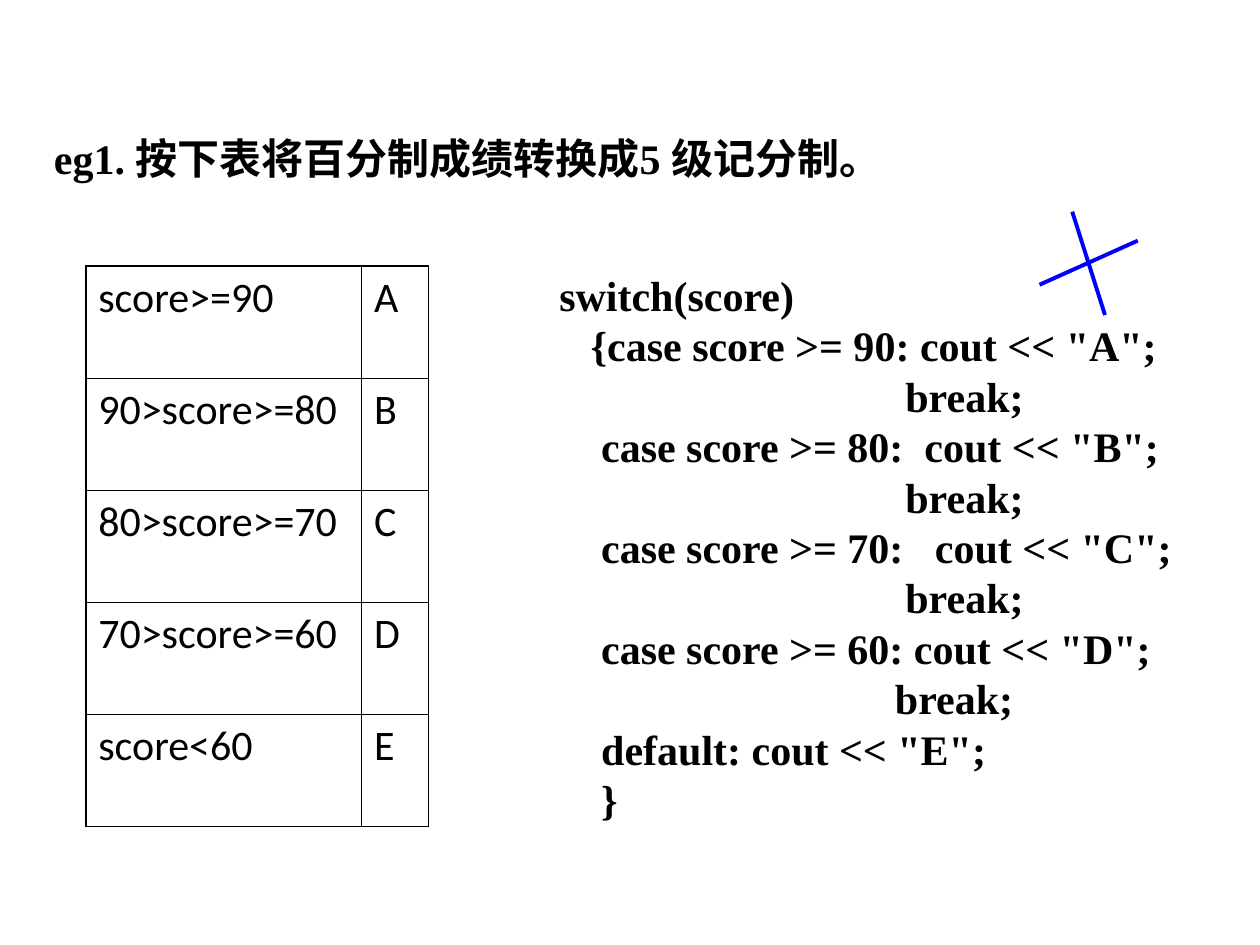
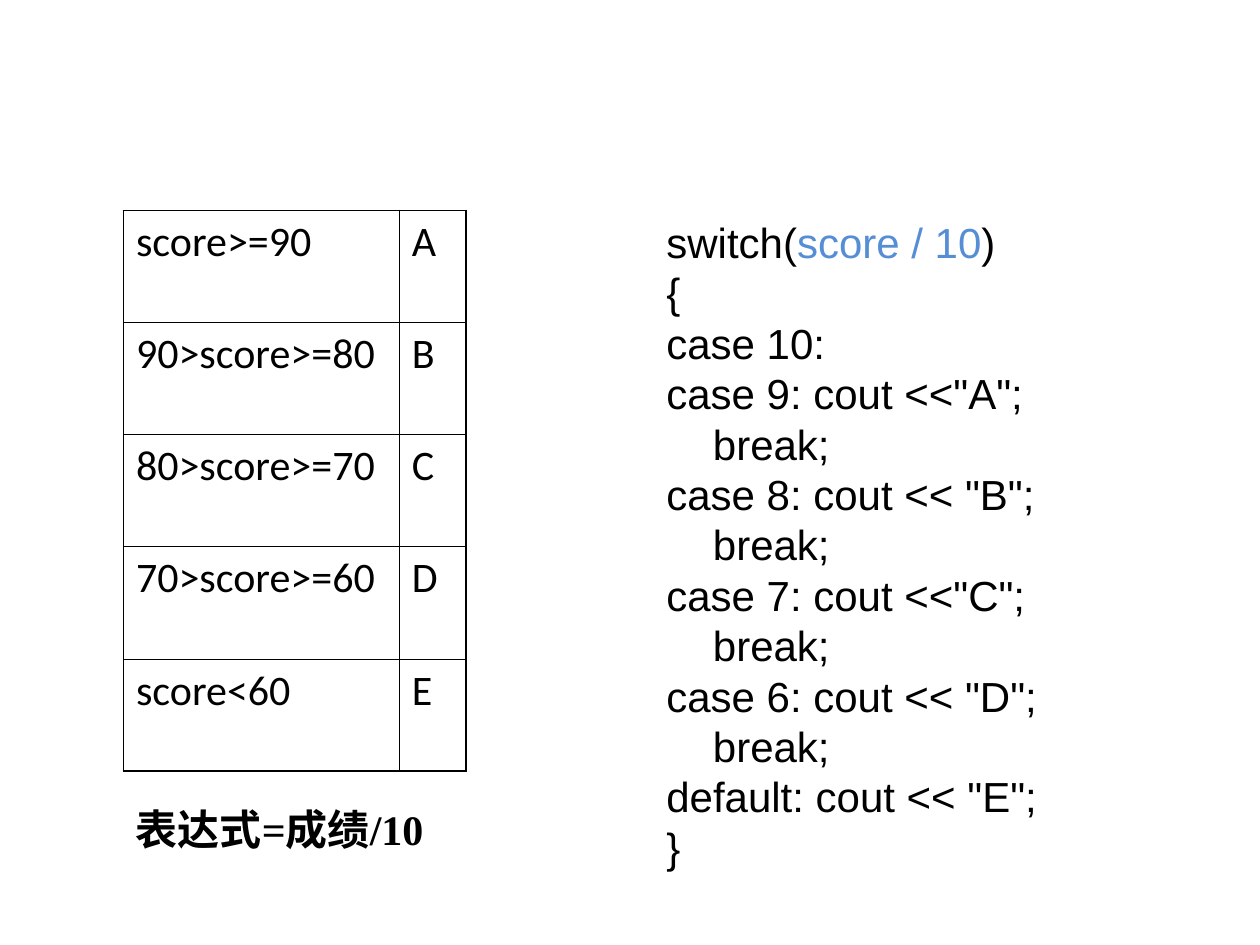
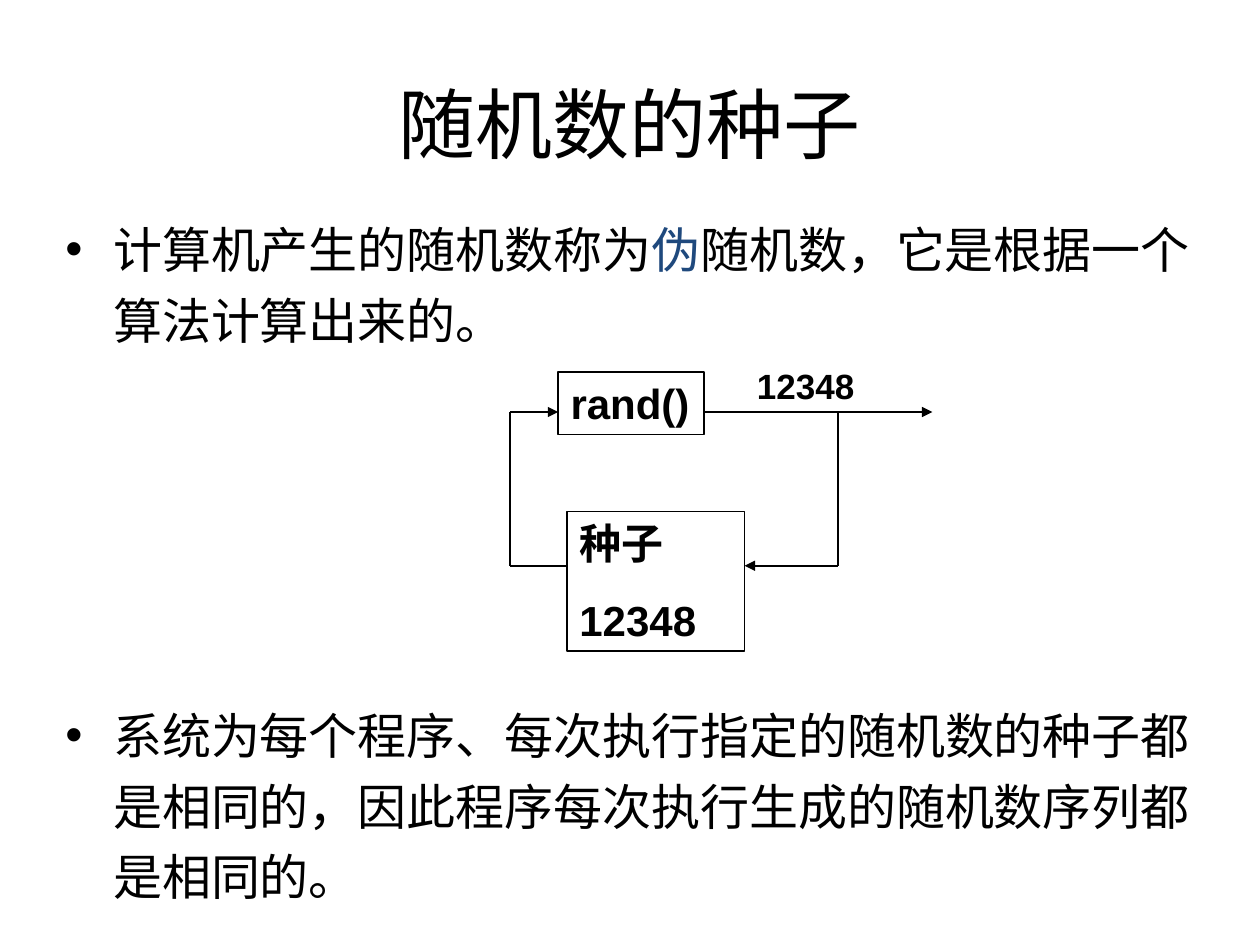
from lxml import etree
from pptx import Presentation
from pptx.dml.color import RGBColor
from pptx.enum.shapes import MSO_CONNECTOR, MSO_SHAPE
from pptx.enum.text import MSO_ANCHOR, PP_ALIGN
from pptx.oxml import parse_xml
from pptx.oxml.ns import nsdecls, qn
from pptx.util import Inches, Pt

BLACK = RGBColor(0x00, 0x00, 0x00)
CROSS_BLUE = RGBColor(0x00, 0x00, 0xFF)
CODE_BLUE = RGBColor(0x55, 0x8E, 0xD5)
TERM_BLUE = RGBColor(0x1F, 0x49, 0x7D)

SERIF, SANS, BODY = "Times New Roman", "Arial", "Calibri"
COLUMNS, ROWS = 100, 75
TITLE_ONLY, BLANK = 5, 6

GRADES = [("score>=90", "A"), ("90>score>=80", "B"), ("80>score>=70", "C"),
          ("70>score>=60", "D"), ("score<60", "E")]

WRONG_SWITCH = """switch(score)
   {case score >= 90: cout << "A";
                                 break;
    case score >= 80:  cout << "B";
                                 break;
    case score >= 70:   cout << "C";
                                 break;
    case score >= 60: cout << "D";
                                break;
    default: cout << "E";
    }"""

RIGHT_SWITCH = """{
case 10:
case 9: cout <<"A";
    break;
case 8: cout << "B";
    break;
case 7: cout <<"C";
    break;
case 6: cout << "D";
    break;
default: cout << "E";
}"""


def add_bullet(paragraph):
    properties = paragraph._p.get_or_add_pPr()
    properties.set("marL", str(Inches(0.38)))
    properties.set("indent", str(-Inches(0.38)))
    properties.append(parse_xml(f'<a:buFont {nsdecls("a")} typeface="Arial"/>'))
    properties.append(parse_xml(f'<a:buChar {nsdecls("a")} char="•"/>'))


def write(frame, paragraphs, size=24, font=BODY, bold=False, align=PP_ALIGN.LEFT,
          gap=0, line_spacing=None, bullet=False, anchor=MSO_ANCHOR.TOP):
    """Fill a frame; a paragraph is a string or a list of (text, colour) runs."""
    frame.word_wrap = True
    frame.vertical_anchor = anchor
    for number, content in enumerate(paragraphs):
        paragraph = frame.add_paragraph() if number else frame.paragraphs[0]
        if bullet:
            add_bullet(paragraph)
        paragraph.alignment = align
        paragraph.space_before = Pt(gap if number else 0)
        if line_spacing:
            paragraph.line_spacing = line_spacing
        runs = [(content, BLACK)] if isinstance(content, str) else content
        for text, colour in runs:
            run = paragraph.add_run()
            run.text = text
            run.font.size = Pt(size)
            run.font.name = font
            run.font.bold = bold
            run.font.color.rgb = colour


def set_borders(cell, widths):
    """Draw the left, right, top and bottom borders, widths in points."""
    properties = cell._tc.get_or_add_tcPr()
    for position, (side, width) in enumerate(zip("LRTB", widths)):
        properties.insert(position, parse_xml(
            f'<a:ln{side} {nsdecls("a")} w="{Pt(width)}"><a:solidFill>'
            f'<a:srgbClr val="{BLACK}"/></a:solidFill></a:ln{side}>'))


class Deck:
    THICK, THIN = 1.08, 0.45

    def __init__(self):
        self.presentation = Presentation()
        self.presentation.slide_width = Inches(10)
        self.presentation.slide_height = Inches(7.5)
        self.slide = None

    def place(self, *lengths):
        """Turn alternating columns and rows of the grid into slide lengths."""
        units = (self.presentation.slide_width / COLUMNS,
                 self.presentation.slide_height / ROWS)
        return [round(length * units[i % 2]) for i, length in enumerate(lengths)]

    def new_slide(self, layout=BLANK):
        self.slide = self.presentation.slides.add_slide(
            self.presentation.slide_layouts[layout])

    def title(self, text, area):
        title = self.slide.shapes.title
        title.left, title.top, title.width, title.height = self.place(*area)
        write(title.text_frame, [text], size=44, align=PP_ALIGN.CENTER,
              anchor=MSO_ANCHOR.MIDDLE)

    def text(self, area, paragraphs, **text_format):
        box = self.slide.shapes.add_textbox(*self.place(*area))
        write(box.text_frame, paragraphs, **text_format)

    def box(self, area, paragraphs, **text_format):
        shape = self.slide.shapes.add_shape(MSO_SHAPE.RECTANGLE, *self.place(*area))
        shape.shadow.inherit = False
        shape.fill.background()
        shape.line.color.rgb = BLACK
        shape.line.width = Pt(1)
        write(shape.text_frame, paragraphs, **text_format)

    def line(self, start, end, colour=BLACK, width=1, arrow=False):
        connector = self.slide.shapes.add_connector(
            MSO_CONNECTOR.STRAIGHT, *self.place(*start, *end))
        connector.line.color.rgb = colour
        connector.line.width = Pt(width)
        if arrow:
            outline = connector.line._get_or_add_ln()
            etree.SubElement(outline, qn("a:tailEnd"), type="triangle")
        etree.SubElement(connector._element.spPr, qn("a:effectLst"))

    def grade_table(self, left, top):
        last = len(GRADES) - 1
        column_widths, row_height = (21.9, 5.3), 8.9
        area = self.place(left, top, sum(column_widths), row_height * len(GRADES))
        table = self.slide.shapes.add_table(len(GRADES), 2, *area).table
        table.first_row = table.horz_banding = False
        for column, width in zip(table.columns, column_widths):
            column.width = self.place(width)[0]
        for row, texts in enumerate(GRADES):
            table.rows[row].height = self.place(0, row_height)[1]
            for column, text in enumerate(texts):
                cell = table.cell(row, column)
                cell.fill.background()
                write(cell.text_frame, [text])
                on_edge = (column == 0, column == 1, row == 0, row == last)
                set_borders(cell, [self.THICK if edge else self.THIN for edge in on_edge])

    def save(self):
        self.presentation.save("out.pptx")


def build_wrong_switch(deck):
    deck.new_slide()
    deck.text((3.3, 10, 71.7, 5), ["eg1. 按下表将百分制成绩转换成5 级记分制。"],
              font=SERIF, bold=True)
    deck.grade_table(6.8, 21.1)
    deck.text((43.4, 20.9, 54.1, 45), WRONG_SWITCH.split("\n"), font=SERIF, bold=True)
    for start, end in [((90.3, 19.1), (82.5, 22.6)), ((85.1, 16.8), (87.7, 25))]:
        deck.line(start, end, colour=CROSS_BLUE, width=2.25)


def build_right_switch(deck):
    deck.new_slide()
    deck.grade_table(9.8, 16.7)
    deck.text((9.8, 63.3, 25.8, 9), ["表达式=成绩/10"], font=SERIF, bold=True)
    head = [("switch(", BLACK), ("score / 10", CODE_BLUE), (")", BLACK)]
    deck.text((51.9, 16.7, 39.8, 53), [head, *RIGHT_SWITCH.split("\n")], font=SANS)


def build_random_seed(deck):
    deck.new_slide(TITLE_ONLY)
    deck.title("随机数的种子", (7.5, 3.5, 85, 12.5))
    pseudo = [("计算机产生的随机数称为", BLACK), ("伪", TERM_BLUE),
              ("随机数，它是根据一个算法计算出来的。", BLACK)]
    same_seed = "系统为每个程序、每次执行指定的随机数的种子都是相同的，因此程序每次执行生成的随机数序列都是相同的。"
    deck.text((4.2, 16, 92.1, 56.2), [pseudo, same_seed], size=28, gap=197,
              line_spacing=1.2, bullet=True)

    label = {"font": SANS, "bold": True}
    rand_left, rand_right, seed_left, seed_right = 44.3, 55.9, 45, 59.1
    loop_left, loop_right, output_end = 40.5, 66.5, 74
    rand_row, seed_row = 32.7, 44.9
    deck.box((rand_left, 29.5, rand_right - rand_left, 5), ["rand()"], **label)
    deck.box((seed_left, 40.6, seed_right - seed_left, 11.1), ["种子", "12348"],
             gap=15, **label)
    deck.text((59.1, 28.4, 12, 4.4), ["12348"], size=20, **label)
    deck.line((loop_left, seed_row), (seed_left, seed_row))
    deck.line((loop_left, rand_row), (loop_left, seed_row))
    deck.line((loop_left, rand_row), (rand_left, rand_row), arrow=True)
    deck.line((rand_right, rand_row), (output_end, rand_row), arrow=True)
    deck.line((loop_right, rand_row), (loop_right, seed_row))
    deck.line((loop_right, seed_row), (seed_right, seed_row), arrow=True)


def main():
    deck = Deck()
    build_wrong_switch(deck)
    build_right_switch(deck)
    build_random_seed(deck)
    deck.save()


if __name__ == "__main__":
    main()
